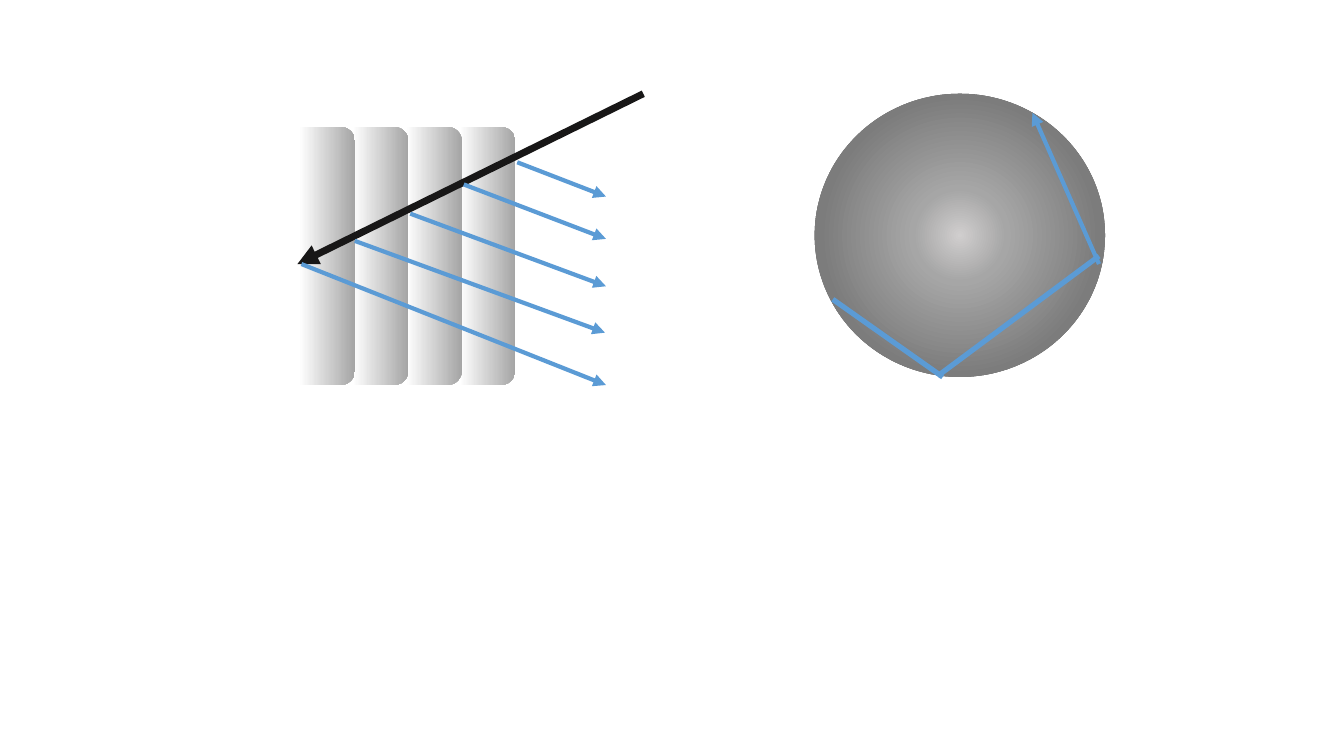
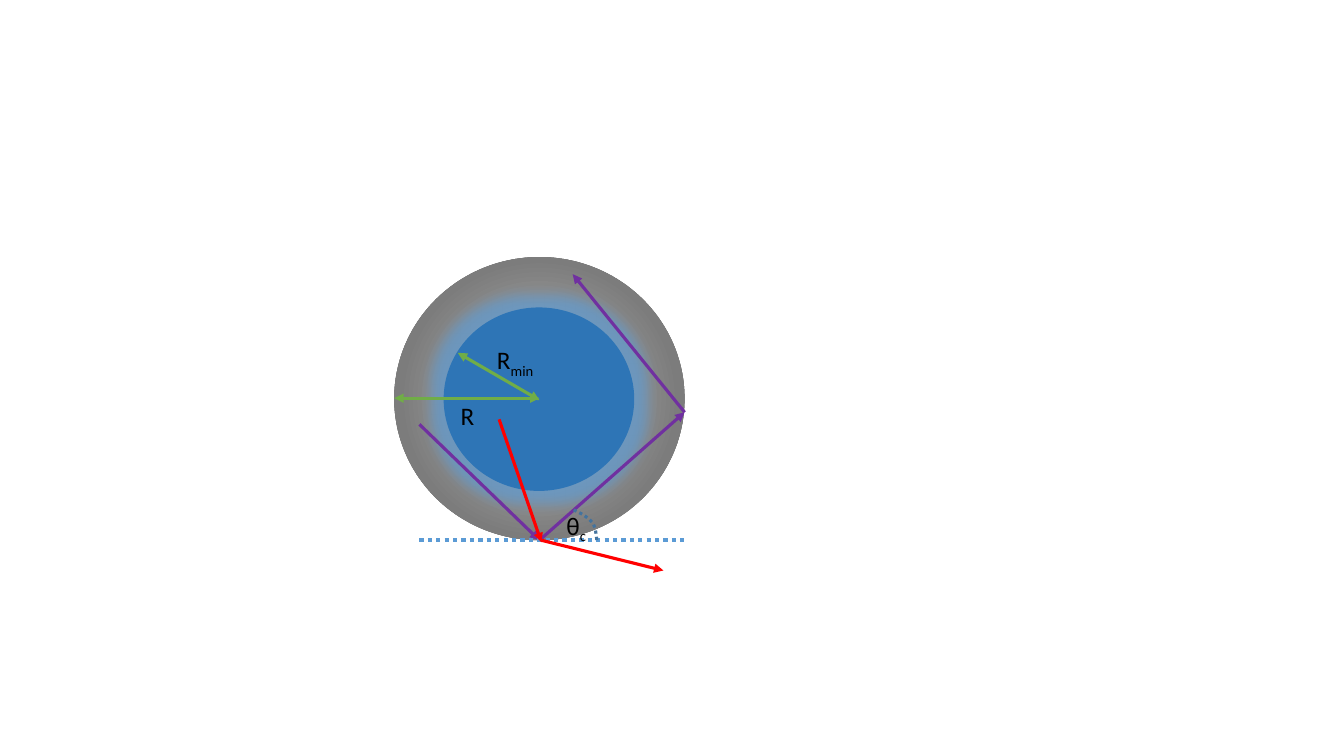
from dataclasses import dataclass

from lxml import etree
from pptx import Presentation
from pptx import util as u
from pptx.dml.color import RGBColor
from pptx.enum import dml, shapes, text
from pptx.oxml.ns import qn

SCALE = 9144


@dataclass(frozen=True)
class Theme:
    font: str = "Calibri"
    label_size: int = 18
    label: str = "000000"
    beam: str = "181717"
    ray: str = "5B9BD5"
    core: str = "2E75B6"
    angle: str = "43739E"
    guided: str = "7030A0"
    radius: str = "70AD47"
    escaping: str = "FF0000"
    slab: tuple = ((0, "FFFFFF"), (35, "FFFFFF"), (100, "A5A5A5"))
    sphere: tuple = ((0, "D0CECE"), (23, "A6A6A6"), (69, "7C7C7C"), (97, "747474"))
    thin: float = 2.25
    medium: float = 3
    thick: float = 3.75
    heavy: float = 5


def px(*lengths):
    return [u.Emu(round(length * SCALE)) for length in lengths]


def curve_points(start, first, second, end, steps=8):
    for step in range(1, steps + 1):
        t = step / steps
        weights = ((1 - t) ** 3, 3 * t * (1 - t) ** 2, 3 * t * t * (1 - t), t ** 3)
        corners = (start, first, second, end)
        yield tuple(sum(w * corner[axis] for w, corner in zip(weights, corners)) for axis in (0, 1))


class Deck:
    def __init__(self, theme):
        self.theme = theme
        self.presentation = Presentation()
        self.presentation.slide_width, self.presentation.slide_height = px(1333, 750)
        self.slide = None

    def add_slide(self):
        self.slide = self.presentation.slides.add_slide(self.presentation.slide_layouts[6])

    def shape(self, kind, left, top, width, height):
        shape = self.slide.shapes.add_shape(kind, *px(left, top, width, height))
        shape.shadow.inherit = False
        shape.line.fill.background()
        return shape

    def gradient(self, shape, stops, radial=False):
        shape.fill.background()
        properties = shape.element.spPr
        gradient = etree.Element(qn("a:gradFill"), rotWithShape="1")
        stop_list = etree.SubElement(gradient, qn("a:gsLst"))
        for position, color in stops:
            stop = etree.SubElement(stop_list, qn("a:gs"), pos=str(position * 1000))
            etree.SubElement(stop, qn("a:srgbClr"), val=color)
        if radial:
            direction = etree.SubElement(gradient, qn("a:path"), path="circle")
            etree.SubElement(direction, qn("a:fillToRect"), l="50000", t="50000", r="50000", b="50000")
        else:
            etree.SubElement(gradient, qn("a:lin"), ang="0", scaled="0")
        properties.replace(properties.find(qn("a:noFill")), gradient)

    def slab(self, left, top, width, height):
        slab = self.shape(shapes.MSO_SHAPE.ROUNDED_RECTANGLE, left, top, width, height)
        self.gradient(slab, self.theme.slab)

    def sphere(self, left, top):
        sphere = self.shape(shapes.MSO_SHAPE.OVAL, left, top, 288, 281)
        self.gradient(sphere, self.theme.sphere, radial=True)

    def glowing_core(self, left, top, width, height):
        core = self.shape(shapes.MSO_SHAPE.OVAL, left, top, width, height)
        core.fill.solid()
        core.fill.fore_color.rgb = RGBColor.from_string(self.theme.core)
        effects = core.element.spPr.find(qn("a:effectLst"))
        glow = etree.SubElement(effects, qn("a:glow"), rad=str(25 * SCALE))
        color = etree.SubElement(glow, qn("a:srgbClr"), val=self.theme.ray)
        etree.SubElement(color, qn("a:alpha"), val="65000")

    def stroke(self, line, color, width, dotted=False):
        line.color.rgb = RGBColor.from_string(color)
        line.width = u.Pt(width)
        if dotted:
            line.dash_style = dml.MSO_LINE.ROUND_DOT

    def line(self, start, end, color, width, arrows=(), dotted=False):
        connector = self.slide.shapes.add_connector(
            shapes.MSO_CONNECTOR.STRAIGHT, *px(*start, *end))
        self.stroke(connector.line, color, width, dotted)
        properties = connector.element.spPr
        outline = properties.find(qn("a:ln"))
        for arrow in arrows:
            etree.SubElement(outline, qn(f"a:{arrow}"), type="triangle")
        etree.SubElement(properties, qn("a:effectLst"))

    def arrow(self, start, end, color, width):
        self.line(start, end, color, width, ("tailEnd",))

    def double_arrow(self, start, end, color, width):
        self.line(start, end, color, width, ("headEnd", "tailEnd"))

    def dotted_curve(self, start, segments, color, width):
        builder = self.slide.shapes.build_freeform(*px(*start), scale=1.0)
        for segment in segments:
            builder.add_line_segments([px(*point) for point in curve_points(start, *segment)], close=False)
            start = segment[-1]
        curve = builder.convert_to_shape()
        curve.shadow.inherit = False
        curve.fill.background()
        self.stroke(curve.line, color, width, dotted=True)

    def label(self, left, top, symbol, subscript=""):
        box = self.slide.shapes.add_textbox(*px(left, top, 61, 40))
        frame = box.text_frame
        frame.word_wrap = True
        frame.auto_size = text.MSO_AUTO_SIZE.SHAPE_TO_FIT_TEXT
        paragraph = frame.paragraphs[0]
        for content, baseline in ((symbol, 0), (subscript, -25000)):
            if not content:
                continue
            run = paragraph.add_run()
            run.text = content
            run.font.name = self.theme.font
            run.font.size = u.Pt(self.theme.label_size)
            run.font.color.rgb = RGBColor.from_string(self.theme.label)
            if baseline:
                run._r.get_or_add_rPr().set("baseline", str(baseline))


def reflection_slide(deck):
    theme = deck.theme
    deck.add_slide()
    for index in reversed(range(4)):
        deck.slab(267 + 53 * index, 126, 85, 256)
    deck.sphere(808, 93)
    deck.line((826, 297), (935, 374), theme.ray, theme.thick)
    deck.line((930, 373), (1090, 254), theme.ray, theme.thick)
    deck.arrow((1090, 262), (1024, 112), theme.ray, theme.medium)
    deck.arrow((638, 93), (295, 262), theme.beam, theme.heavy)
    reflections = (
        ((299, 262), (601, 382)),
        ((352, 239), (600, 330)),
        ((407, 212), (601, 284)),
        ((460, 183), (601, 237)),
        ((513, 161), (601, 195)),
    )
    for start, end in reflections:
        deck.arrow(start, end, theme.ray, theme.medium)


def critical_angle_slide(deck):
    theme = deck.theme
    deck.add_slide()
    deck.sphere(391, 255)
    deck.glowing_core(440, 305, 189, 182)
    guided = ((416, 421), (535, 536), (679, 409), (568, 272))
    for start, end in zip(guided, guided[1:]):
        deck.arrow(start, end, theme.guided, theme.thin)
    deck.line((416, 536), (679, 536), theme.ray, theme.medium, dotted=True)
    deck.dotted_curve(
        (569, 506),
        (((576, 509), (583, 513), (587, 518)), ((591, 523), (591, 529), (592, 536))),
        theme.angle, theme.thin)
    deck.label(552, 501, "θ", "c")
    deck.double_arrow((391, 395), (535, 395), theme.radius, theme.thin)
    deck.double_arrow((454, 350), (535, 397), theme.radius, theme.thin)
    deck.label(447, 392, "R")
    deck.label(483, 337, "R", "min")
    deck.arrow((495, 416), (537, 538), theme.escaping, theme.thin)
    deck.arrow((537, 536), (658, 566), theme.escaping, theme.thin)


def main():
    deck = Deck(Theme())
    reflection_slide(deck)
    critical_angle_slide(deck)
    deck.presentation.save("out.pptx")


if __name__ == "__main__":
    main()
